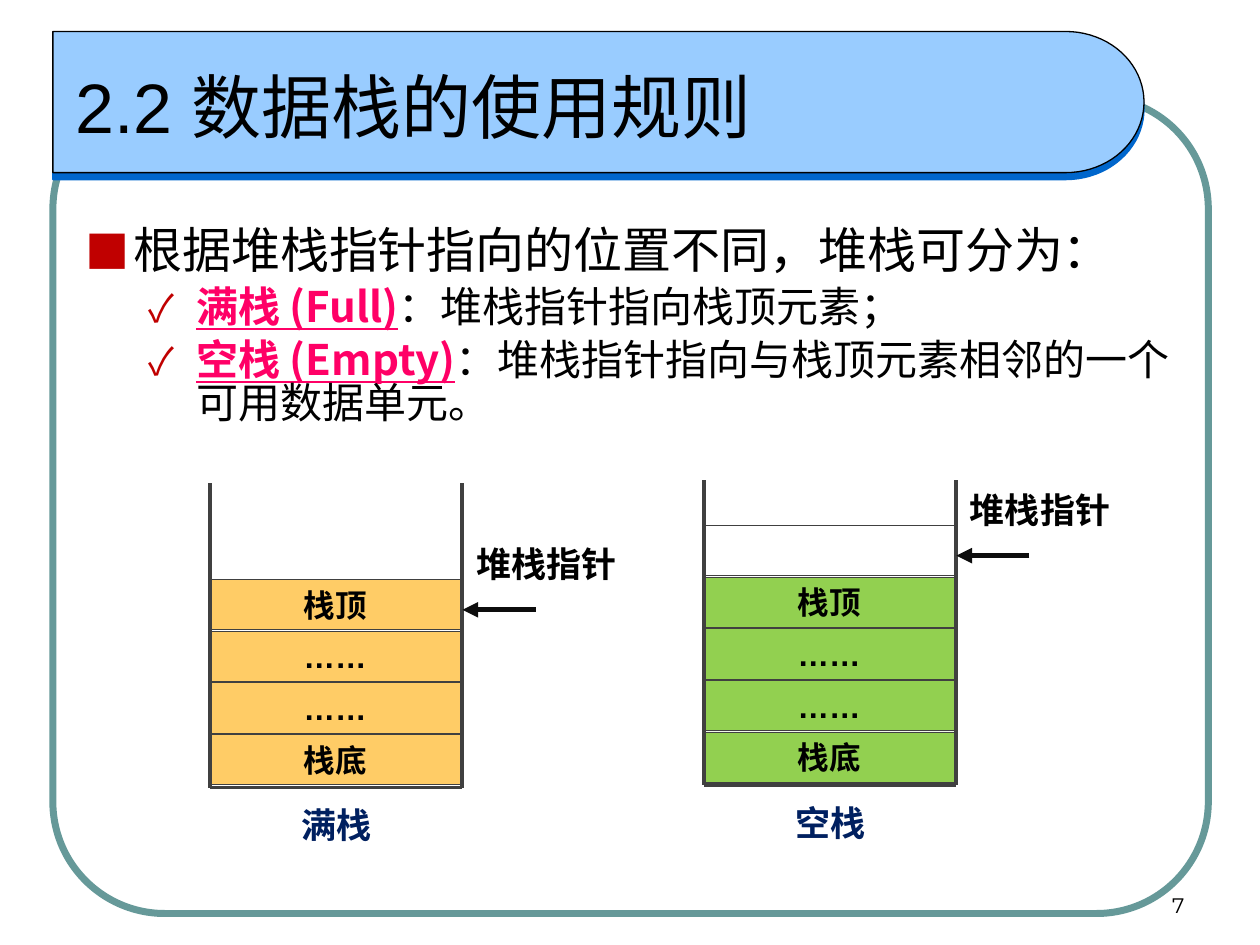
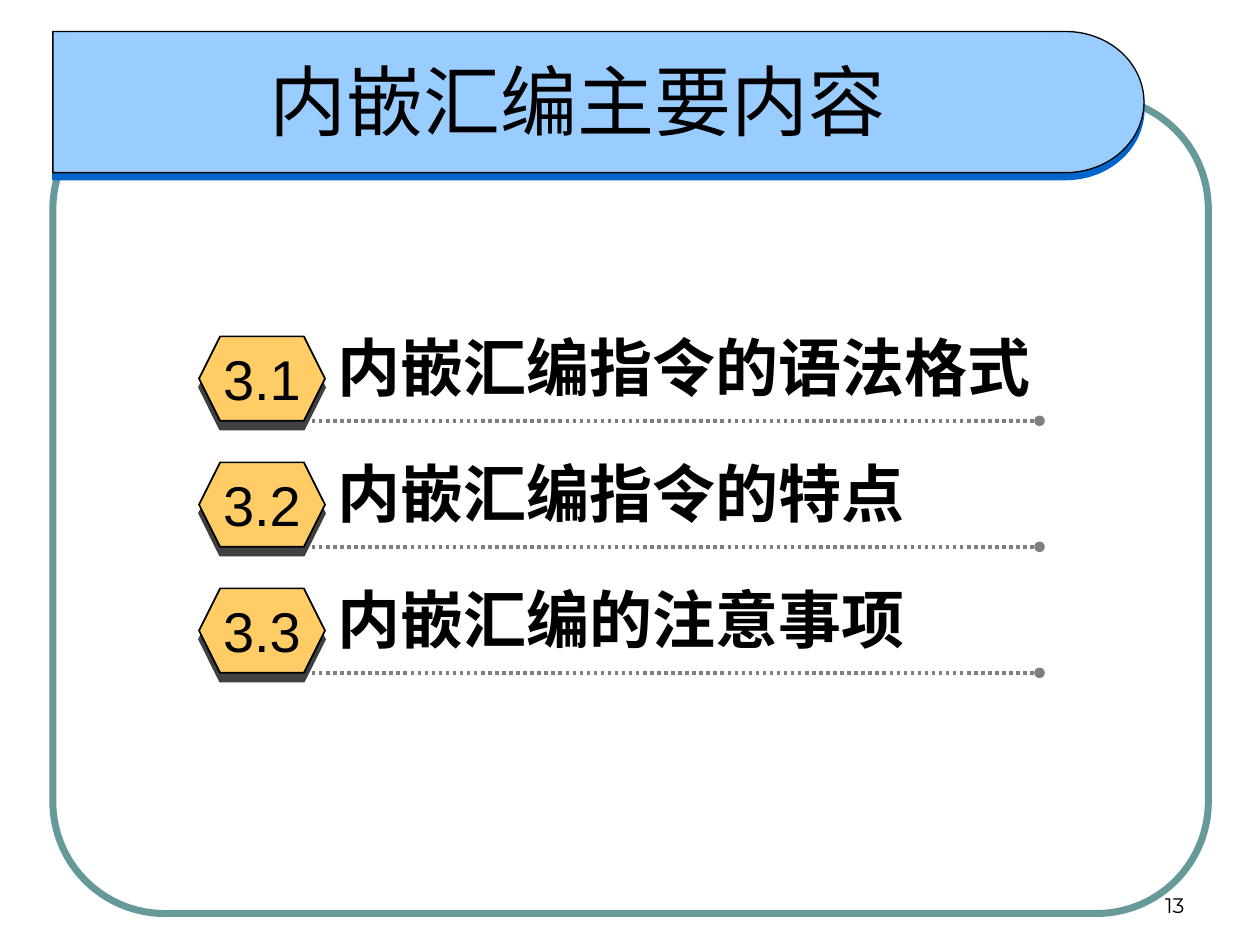
from math import cos, pi, sin

from lxml.etree import SubElement
from pptx import Presentation
from pptx.dml.color import RGBColor
from pptx.enum.dml import MSO_LINE
from pptx.enum.shapes import MSO_CONNECTOR, MSO_SHAPE
from pptx.enum.text import MSO_ANCHOR, PP_ALIGN
from pptx.oxml.ns import qn
from pptx.util import Inches, Pt

BLACK, GRAY, RED, PINK, NAVY = "000000", "404040", "C00000", "FF0066", "002060"
BLUE, DEEP, TEAL, GOLD, GREEN = "99CCFF", "0066CC", "669999", "FFCC66", "92D050"
SANS, HAN, PAGE = "Arial", "Noto Sans CJK SC", "Montserrat"
LEFT, MID, RIGHT = PP_ALIGN.LEFT, PP_ALIGN.CENTER, PP_ALIGN.RIGHT


def tint(code):
    return RGBColor.from_string(code)


def node(root, tag, **attrs):
    return SubElement(root, qn("a:" + tag), {k: str(v) for k, v in attrs.items()})


def paint(shape, fill=None, line=BLACK, width=1):
    shape.shadow.inherit = False
    if fill:
        shape.fill.solid()
        shape.fill.fore_color.rgb = tint(fill)
    else:
        shape.fill.background()
    shape.line.color.rgb = tint(line)
    shape.line.width = Pt(width)


def shade(shape, color, drop):
    """Cast a hard shadow straight down, drop points long."""
    effects = shape._element.spPr.find(qn("a:effectLst"))
    shadow = node(effects, "outerShdw", blurRad=0, dist=Pt(drop),
                  dir=5400000, algn="ctr", rotWithShape=0)
    node(shadow, "srgbClr", val=color)


def add_run(para, text, size=18, font=SANS, color=BLACK, bold=False, under=False):
    run = para.add_run()
    run.text = text
    face = run.font
    face.size, face.name, face.bold, face.underline = Pt(size), font, bold, under
    face.color.rgb = tint(color)
    node(run._r.get_or_add_rPr(), "ea", typeface=font)


def write(shape, text, align=LEFT, anchor=MSO_ANCHOR.TOP, side=0.1, gap=1.0, **style):
    frame = shape.text_frame
    frame.word_wrap = True
    frame.vertical_anchor = anchor
    frame.margin_left = frame.margin_right = Inches(side)
    para = frame.paragraphs[0]
    para.alignment = align
    para.line_spacing = gap
    add_run(para, text, **style)


def add_text(slide, box, text, **style):
    write(slide.shapes.add_textbox(*map(Inches, box)), text, **style)


def add_line(slide, x1, y1, x2, y2, color, width, tail=None):
    line = slide.shapes.add_connector(
        MSO_CONNECTOR.STRAIGHT, *map(Inches, (x1, y1, x2, y2)))
    line.line.color.rgb = tint(color)
    line.line.width = Pt(width)
    if tail:
        node(line.line._get_or_add_ln(), "tailEnd", type=tail)
    node(line._element.spPr, "effectLst")
    return line


def add_band(slide, x, y, w, h):
    """Title band with a half-ellipse at its right end."""
    rx, ry = 0.62, h / 2
    turns = [pi * (i / 40 - 0.5) for i in range(41)]
    arc = [(x + w - rx + rx * cos(t), y + ry + ry * sin(t)) for t in turns]
    pen = slide.shapes.build_freeform(Inches(x), Inches(y), scale=1.0)
    points = arc + [(x, y + h)]
    pen.add_line_segments([(Inches(a), Inches(b)) for a, b in points], close=True)
    band = pen.convert_to_shape()
    paint(band, BLUE, BLACK, 0.75)
    shade(band, DEEP, 4)


def add_base(deck, title, page, **style):
    slide = deck.slides.add_slide(deck.slide_layouts[6])
    frame = slide.shapes.add_shape(
        MSO_SHAPE.ROUNDED_RECTANGLE, *map(Inches, (0.42, 0.77, 9.17, 6.48)))
    frame.adjustments[0] = 0.137
    paint(frame, None, TEAL, 4)
    add_band(slide, 0.42, 0.25, 8.66, 1.12)
    add_text(slide, (0.5, 0.25, 8.17, 1.17), title, anchor=MSO_ANCHOR.MIDDLE, **style)
    add_text(slide, (7.17, 6.83, 2.33, 0.5), page, align=RIGHT,
             anchor=MSO_ANCHOR.BOTTOM, size=12, font=PAGE)
    return slide


def add_point(para, mark, indent, before):
    props = para._p.get_or_add_pPr()
    props.set("marL", str(Inches(indent)))
    props.set("indent", str(Inches(-0.38)))
    node(node(props, "buClr"), "srgbClr", val=RED)
    node(props, "buSzPct", val=90000)
    node(props, "buFont", typeface=HAN)
    node(props, "buChar", char=mark)
    para.line_spacing = 0.84
    para.space_before = Pt(before)


def add_rules(slide, box, head, terms):
    frame = slide.shapes.add_textbox(*map(Inches, box)).text_frame
    frame.word_wrap = True
    para = frame.paragraphs[0]
    add_point(para, "■", 0.38, 0)
    add_run(para, head, size=28, font=HAN)
    for term, text in terms:
        para = frame.add_paragraph()
        para.level = 1
        add_point(para, "✓", 0.88, 6)
        add_run(para, term, size=24, font=HAN, color=PINK, bold=True, under=True)
        add_run(para, text, size=24, font=HAN)


def add_stack(slide, x, y, name, fill, target):
    """Open-topped stack whose pointer marks row target; row -1 is free."""
    width, depth, step, first = 2, 2.42, 0.41, 0.77

    def add_cell(row, color):
        cell = slide.shapes.add_shape(MSO_SHAPE.RECTANGLE, *map(
            Inches, (x - 0.01, y + first + row * step, width, 0.4)))
        paint(cell, color, GRAY, 0.5)
        return cell

    for row, text in enumerate(("栈顶", "……", "……", "栈底")):
        write(add_cell(row, fill), text, align=MID, bold=True)
    if target < 0:
        add_cell(target, None)

    right, base = x + width, y + depth
    for wall in (x, right):
        add_line(slide, wall, base, wall, y, GRAY, 2.25)
    add_line(slide, x, base, right, base, GRAY, 2.25)

    level = y + first + target * step + 0.24
    add_line(slide, right + 0.58, level, right, level, "0D0D0D", 3, "triangle")
    label = dict(align=MID, size=20, bold=True)
    add_text(slide, (right, level - 0.58, 1.33, 0.44), "堆栈指针", **label)
    add_text(slide, (x, y + 2.5, width, 0.44), name, color=NAVY, **label)


def add_item(slide, x, y, number, text):
    rule = add_line(slide, x + 0.84, y + 0.67, x + 6.67, y + 0.67, "7F7F7F", 2, "oval")
    rule.line.dash_style = MSO_LINE.ROUND_DOT
    badge = slide.shapes.add_shape(MSO_SHAPE.HEXAGON, *map(Inches, (x, y, 1, 0.67)))
    badge.adjustments[0] = 0.25
    badge.adjustments[1] = 1.155
    paint(badge, GOLD, BLACK, 1)
    shade(badge, GRAY, 5)
    write(badge, number, align=MID, anchor=MSO_ANCHOR.MIDDLE, side=0, size=32)
    add_text(slide, (x + 1, y - 0.04, 5.83, 0.7), text,
             size=36, font=HAN, bold=True, gap=0.9)


def add_usage(deck):
    slide = add_base(deck, "2.2 数据栈的使用规则", "7", size=40)
    add_rules(slide, (0.58, 1.77, 8.92, 1.83),
              "根据堆栈指针指向的位置不同，堆栈可分为：",
              [("满栈 (Full)", "：堆栈指针指向栈顶元素；"),
               ("空栈 (Empty)", "：堆栈指针指向与栈顶元素相邻的一个可用数据单元。")])
    add_stack(slide, 1.67, 3.83, "满栈", GOLD, 0)
    add_stack(slide, 5.59, 3.81, "空栈", GREEN, -1)


def add_agenda(deck):
    slide = add_base(deck, "内嵌汇编主要内容", "13",
                     size=44, font=HAN, align=MID, gap=0.9)
    items = ("内嵌汇编指令的语法格式", "内嵌汇编指令的特点", "内嵌汇编的注意事项")
    for i, text in enumerate(items):
        add_item(slide, 1.58, 2.67 + i, f"3.{i + 1}", text)


def main():
    deck = Presentation()
    deck.slide_width, deck.slide_height = Inches(10), Inches(7.5)
    add_usage(deck)
    add_agenda(deck)
    deck.save("out.pptx")


if __name__ == "__main__":
    main()
